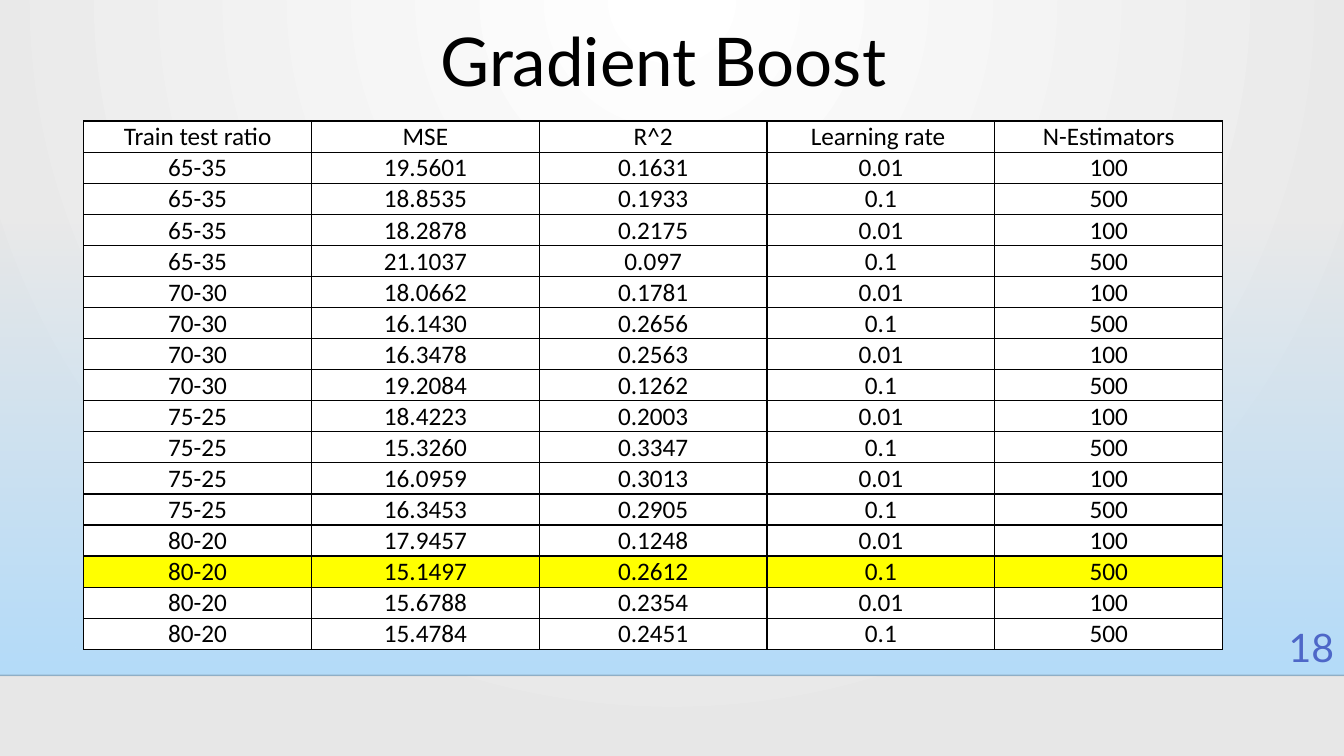
from typing import NamedTuple

from lxml import etree
from pptx import Presentation
from pptx.dml.color import RGBColor
from pptx.enum.shapes import MSO_CONNECTOR, MSO_SHAPE
from pptx.enum.text import MSO_ANCHOR, MSO_AUTO_SIZE, PP_ALIGN
from pptx.oxml.ns import qn
from pptx.util import Cm, Pt

RECTANGLE = MSO_SHAPE.RECTANGLE
STRAIGHT = MSO_CONNECTOR.STRAIGHT
MIDDLE, BOTTOM = MSO_ANCHOR.MIDDLE, MSO_ANCHOR.BOTTOM
CENTER, RIGHT = PP_ALIGN.CENTER, PP_ALIGN.RIGHT
GROW = MSO_AUTO_SIZE.SHAPE_TO_FIT_TEXT

COLORS = {
    "white": "FFFFFF",
    "grey": "E7E7E7",
    "sky": "B4DCFA",
    "horizon": "000001",
    "black": "000000",
    "highlight": "FFFF00",
    "number": "4E67C8",
}
SLIDE_W, SLIDE_H = Cm(33.87), Cm(19.05)
HORIZON_Y = Cm(17.02)
COLUMN_W, ROW_H = Cm(5.74), Cm(0.78)
TITLE_ONLY = 5


class Trial(NamedTuple):
    ratio: str
    mse: str
    r_squared: str
    learning_rate: str
    estimators: str


HEADER = Trial("Train test ratio", "MSE", "R^2", "Learning rate ", "N-Estimators")
# Each ratio has four trials, alternating between the two settings
SETTINGS = (("0.01", "100"), ("0.1", "500"))
SCORES = {
    "65-35": (("19.5601", "0.1631"), ("18.8535", "0.1933"),
              ("18.2878", "0.2175"), ("21.1037", "0.097")),
    "70-30": (("18.0662", "0.1781"), ("16.1430", "0.2656"),
              ("16.3478", "0.2563"), ("19.2084", "0.1262")),
    "75-25": (("18.4223", "0.2003"), ("15.3260", "0.3347"),
              ("16.0959", "0.3013"), ("16.3453", "0.2905")),
    "80-20": (("17.9457", "0.1248"), ("15.1497", "0.2612"),
              ("15.6788", "0.2354"), ("15.4784", "0.2451")),
}
TRIALS = [
    Trial(ratio, *score, *SETTINGS[index % 2])
    for ratio, scores in SCORES.items()
    for index, score in enumerate(scores)
]
BEST_MSE = min(TRIALS, key=lambda trial: float(trial.mse)).mse


def rgb(name: str) -> RGBColor:
    return RGBColor.from_string(COLORS[name])


def write(frame, text: str, size: int, font: str, color: str, align) -> None:
    frame.text = text
    paragraph = frame.paragraphs[0]
    paragraph.alignment = align
    run_font = paragraph.runs[0].font
    run_font.size, run_font.name = Pt(size), font
    run_font.color.rgb = rgb(color)


def set_gradient(fill, start: str, end: str) -> None:
    fill.gradient()
    for stop, color, position in zip(fill.gradient_stops, (start, end), (0, 1)):
        stop.color.rgb = rgb(color)
        stop.position = position


def set_alpha(color_element, percent: int) -> None:
    etree.SubElement(color_element, qn("a:alpha"), val=str(percent * 1000))


def add_backdrop(slide) -> None:
    # Radial grey background
    set_gradient(slide.background.fill, "white", "grey")
    gradient = slide.element.find(".//" + qn("a:gradFill"))
    gradient.remove(gradient.find(qn("a:lin")))
    circle = etree.SubElement(gradient, qn("a:path"), path="circle")
    etree.SubElement(circle, qn("a:fillToRect"), l="43000", t="0", r="43000", b="100000")

    # Sky fading in towards the horizon
    sky_top = Cm(5.61)
    sky = slide.shapes.add_shape(RECTANGLE, 0, sky_top, SLIDE_W, HORIZON_Y - sky_top)
    sky.shadow.inherit = False
    sky.line.fill.background()
    set_gradient(sky.fill, "sky", "sky")
    sky.fill.gradient_angle = 270
    set_alpha(sky.element.find(".//" + qn("a:srgbClr")), 0)

    # Horizon line
    horizon = slide.shapes.add_connector(STRAIGHT, 0, HORIZON_Y, SLIDE_W, HORIZON_Y)
    horizon.line.width = Pt(1)
    horizon.line.color.rgb = rgb("horizon")
    set_alpha(horizon.element.find(".//" + qn("a:srgbClr")), 20)
    etree.SubElement(horizon.element.find(qn("p:spPr")), qn("a:effectLst"))


def add_borders(cell_properties) -> None:
    for index, side in enumerate(("lnL", "lnR", "lnT", "lnB")):
        border = etree.Element(qn(f"a:{side}"), w=str(Pt(1)))
        solid = etree.SubElement(border, qn("a:solidFill"))
        etree.SubElement(solid, qn("a:srgbClr"), val=COLORS["black"])
        cell_properties.insert(index, border)


def add_results(slide, rows: list[Trial]) -> None:
    frame = slide.shapes.add_table(
        len(rows), len(HEADER), Cm(2.11), Cm(3.05),
        COLUMN_W * len(HEADER), ROW_H * len(rows))
    results = frame.table
    results.first_row = results.horz_banding = False
    for column in results.columns:
        column.width = COLUMN_W
    for row, trial in zip(results.rows, rows):
        row.height = ROW_H
        for cell, value in zip(row.cells, trial):
            cell.margin_left = cell.margin_right = cell.margin_top = Cm(0.02)
            cell.margin_bottom = 0
            cell.vertical_anchor = BOTTOM
            cell.fill.solid()
            cell.fill.fore_color.rgb = rgb("highlight" if trial.mse == BEST_MSE else "white")
            write(cell.text_frame, value, 18, "Calibri", "black", CENTER)
    for cell_properties in frame.element.iter(qn("a:tcPr")):
        add_borders(cell_properties)


def main() -> None:
    deck = Presentation()
    deck.slide_width, deck.slide_height = SLIDE_W, SLIDE_H
    slide = deck.slides.add_slide(deck.slide_layouts[TITLE_ONLY])
    add_backdrop(slide)

    # Title
    title = slide.shapes.title
    title.left, title.top, title.width, title.height = 0, Cm(0.36), SLIDE_W, Cm(2.31)
    title.text_frame.auto_size = GROW
    write(title.text_frame, "Gradient Boost ", 48, "Lato", "black", CENTER)

    # Trial results
    add_results(slide, [HEADER, *TRIALS])

    # Slide number
    number = slide.shapes.add_textbox(Cm(31.61), Cm(15.6), Cm(2.26), Cm(1.4))
    number.text_frame.word_wrap = True
    number.text_frame.vertical_anchor = MIDDLE
    write(number.text_frame, "18", 28, "Lato", "number", RIGHT)

    deck.save("out.pptx")


if __name__ == "__main__":
    main()
